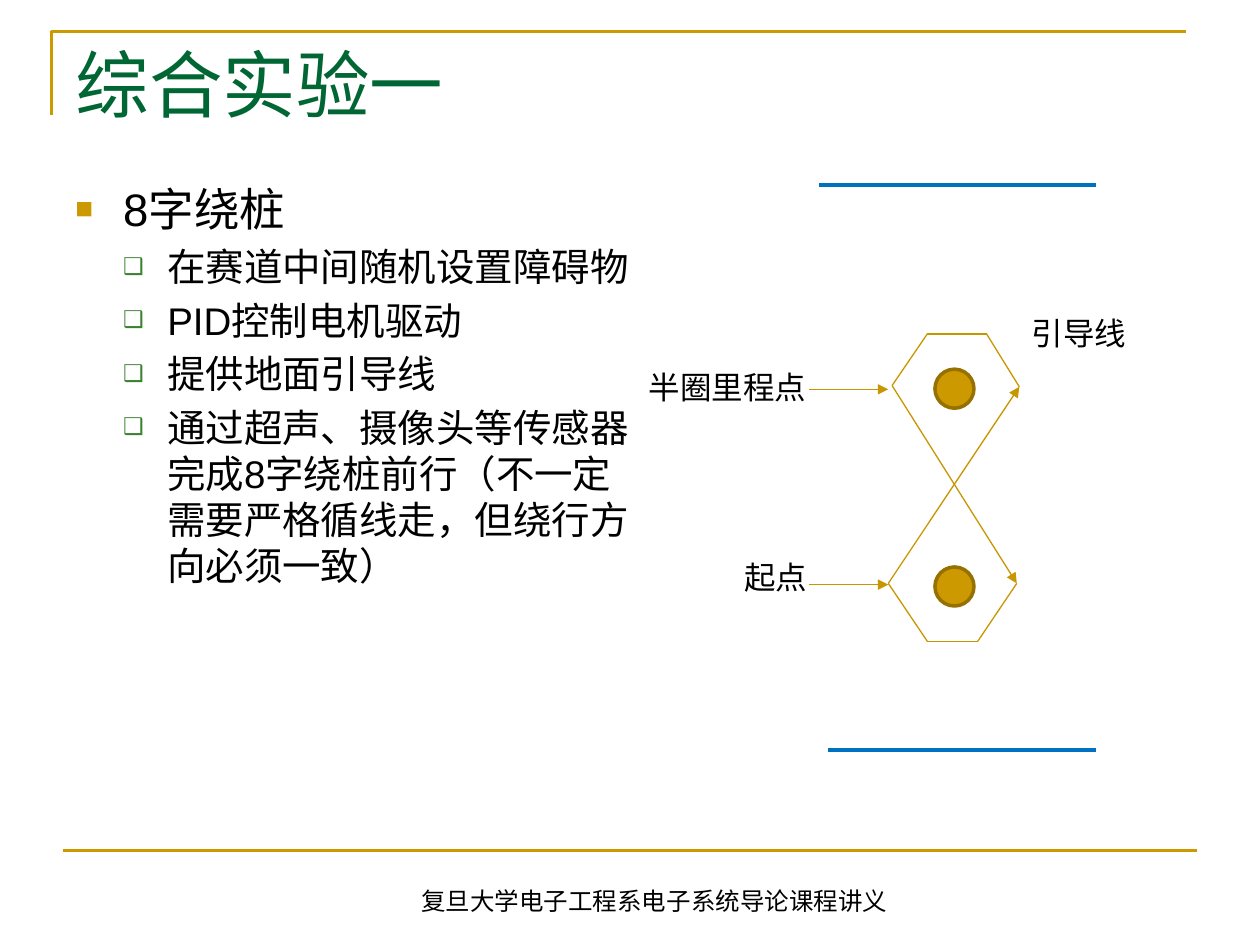
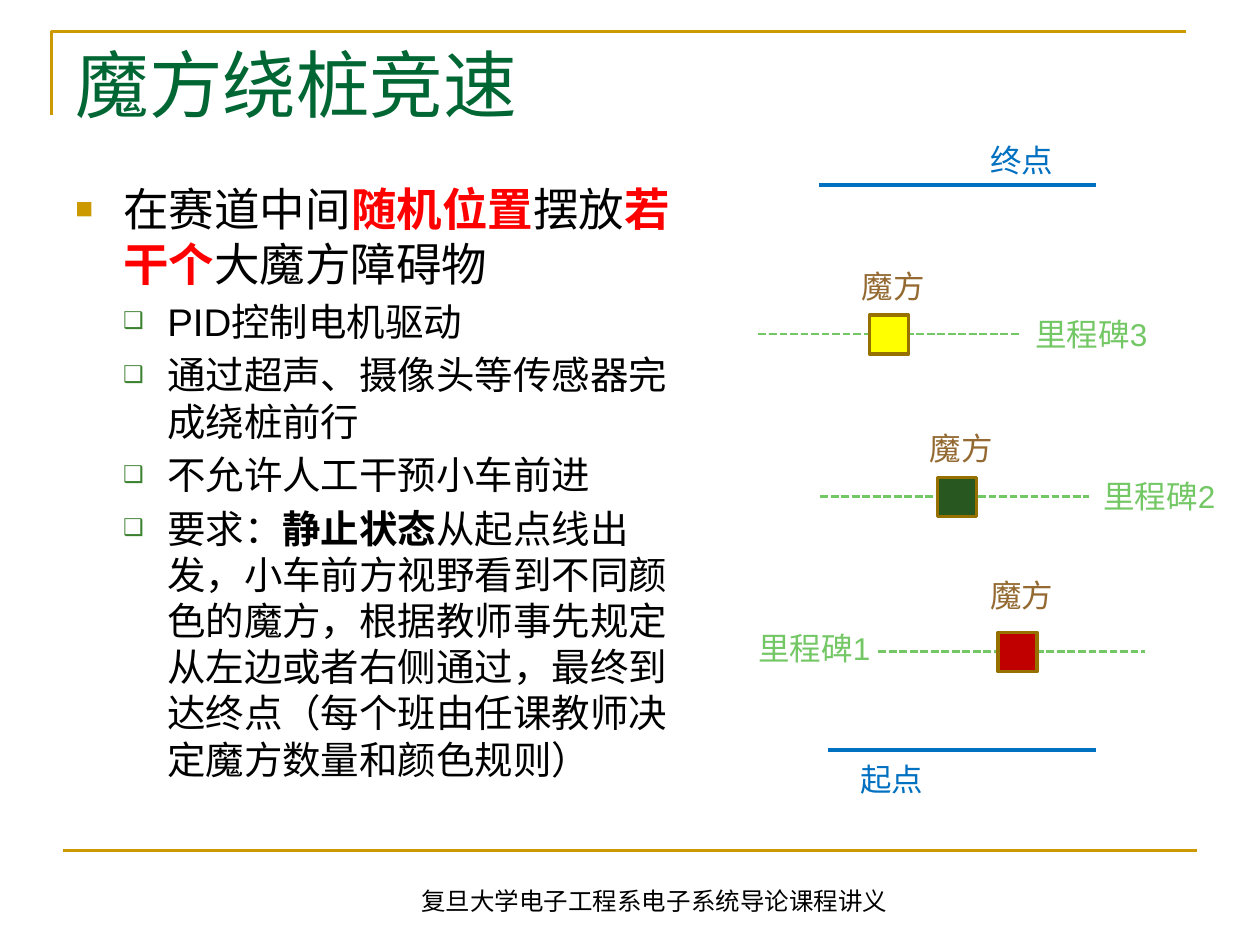
from dataclasses import dataclass
from typing import NamedTuple

from lxml.etree import SubElement
from pptx import Presentation
from pptx.dml.color import RGBColor
from pptx.enum.dml import MSO_LINE
from pptx.enum.shapes import MSO_CONNECTOR, MSO_SHAPE
from pptx.enum.text import MSO_ANCHOR, MSO_AUTO_SIZE, PP_ALIGN
from pptx.oxml.ns import qn
from pptx.util import Pt

PX = 9144
COLORS = {
    "gold": "CC9900",
    "guide": "C89600",
    "outline": "977100",
    "title": "006633",
    "text": "000000",
    "alert": "FF0000",
    "bullet": "3B812F",
    "track": "0070C0",
    "milestone": "73C764",
    "cube": "946A32",
    "yellow": "FFFF00",
    "green": "285720",
    "red": "C00000",
}
FOOTER = "复旦大学电子工程系电子系统导论课程讲义"
MARKER_SIZE = 31
LABEL_HEIGHT = 40


class Point(NamedTuple):
    x: int
    y: int


class Area(NamedTuple):
    left: int
    top: int
    width: int
    height: int


class Span(NamedTuple):
    text: str
    color: str = "text"
    bold: bool = False


class Level(NamedTuple):
    size: int
    margin: int
    hanging: int
    bullet: str
    bullet_color: str
    bullet_percent: int


@dataclass(frozen=True)
class Stroke:
    color: str
    width: float
    dashed: bool = False
    arrow: bool = False


@dataclass(frozen=True)
class Label:
    text: str
    left: int
    top: int
    width: int
    color: str = "text"


@dataclass(frozen=True)
class Milestone:
    number: int
    line_start: int
    line_end: int
    line_y: int
    cube_left: int
    cube_color: str
    cube_label_top: int
    label_left: int
    label_top: int


LEVELS = (
    Level(26, 38, 38, "■", "gold", 65),
    Level(22, 73, 35, "❑", "bullet", 60),
)
FRAME = Stroke("gold", 1.5)
TRACK = Stroke("track", 2.25)
GUIDE = Stroke("guide", 0.75)
GUIDE_ARROW = Stroke("guide", 0.75, arrow=True)
DASHES = Stroke("milestone", 1.5, dashed=True)

FIGURE_EIGHT_TEXT = (
    (0, [Span("8字绕桩")]),
    (1, [Span("在赛道中间随机设置障碍物")]),
    (1, [Span("PID控制电机驱动")]),
    (1, [Span("提供地面引导线")]),
    (1, [Span("通过超声、摄像头等传感器完成8字绕桩前行（不一定需要严格循线走，但绕行方向必须一致）")]),
)
CUBE_RACE_TEXT = (
    (0, [
        Span("在赛道中间"),
        Span("随机位置", "alert", True),
        Span("摆放"),
        Span("若干个", "alert", True),
        Span("大魔方障碍物"),
    ]),
    (1, [Span("PID控制电机驱动")]),
    (1, [Span("通过超声、摄像头等传感器完成绕桩前行")]),
    (1, [Span("不允许人工干预小车前进")]),
    (1, [
        Span("要求："),
        Span("静止状态", bold=True),
        Span("从起点线出发，小车前方视野看到不同颜色的魔方，根据教师事先规定"
             "从左边或者右侧通过，最终到达终点（每个班由任课教师决定魔方数量和颜色规则）"),
    ]),
)
FIGURE_EIGHT_LABELS = (
    Label("引导线", 809, 244, 110),
    Label("起点", 581, 438, 94),
    Label("半圈里程点", 505, 287, 180),
)
RACE_LABELS = (
    Label("起点", 673, 598, 110, "track"),
    Label("终点", 776, 107, 110, "track"),
)
MILESTONES = (
    Milestone(1, 697, 909, 517, 792, "red", 452, 592, 494),
    Milestone(2, 651, 864, 394, 744, "green", 336, 866, 374),
    Milestone(3, 602, 810, 265, 690, "yellow", 207, 812, 245),
)
UPPER_LOOP = (Point(708, 306), Point(736, 265), Point(783, 265), Point(809, 307))
LOWER_LOOP = (Point(705, 463), Point(736, 509), Point(776, 509), Point(807, 463))


def rgb(name: str) -> RGBColor:
    return RGBColor.from_string(COLORS[name])


def emu(lengths) -> list[int]:
    return [length * PX for length in lengths]


def apply_format(target, values: dict) -> None:
    for name, value in values.items():
        setattr(target, name, value)


def add_span(para, span: Span, size: int, font: str = "Arial") -> None:
    run = para.add_run()
    run.text = span.text
    apply_format(run.font, {"name": font, "size": Pt(size), "bold": span.bold})
    run.font.color.rgb = rgb(span.color)


def add_text_box(page, area: Area):
    frame = page.shapes.add_textbox(*emu(area)).text_frame
    apply_format(frame, {
        "word_wrap": True,
        "auto_size": MSO_AUTO_SIZE.NONE,
        "vertical_anchor": MSO_ANCHOR.TOP,
    })
    return frame


def add_label(page, label: Label) -> None:
    frame = add_text_box(page, Area(label.left, label.top, label.width, LABEL_HEIGHT))
    add_span(frame.paragraphs[0], Span(label.text, label.color), 18)


def add_line(page, start: Point, end: Point, stroke: Stroke) -> None:
    connector = page.shapes.add_connector(MSO_CONNECTOR.STRAIGHT, *emu(start + end))
    connector.line.color.rgb = rgb(stroke.color)
    connector.line.width = Pt(stroke.width)
    if stroke.dashed:
        connector.line.dash_style = MSO_LINE.SQUARE_DOT
    if stroke.arrow:
        SubElement(connector.line._get_or_add_ln(), qn("a:tailEnd"), type="triangle")
    SubElement(connector._element.spPr, qn("a:effectLst"))


def add_marker(page, kind: MSO_SHAPE, left: int, top: int, color: str) -> None:
    marker = page.shapes.add_shape(kind, *emu((left, top, MARKER_SIZE, MARKER_SIZE)))
    marker.shadow.inherit = False
    marker.fill.solid()
    marker.fill.fore_color.rgb = rgb(color)
    marker.line.color.rgb = rgb("outline")
    marker.line.width = Pt(2)


def add_bullet(para, level: Level) -> None:
    properties = para._p.get_or_add_pPr()
    properties.set("marL", str(level.margin * PX))
    properties.set("indent", str(-level.hanging * PX))
    properties.set("hangingPunct", "0")
    color = SubElement(properties, qn("a:buClr"))
    SubElement(color, qn("a:srgbClr"), val=COLORS[level.bullet_color])
    SubElement(properties, qn("a:buSzPct"), val=str(level.bullet_percent * 1000))
    SubElement(properties, qn("a:buFont"), typeface="Arial")
    SubElement(properties, qn("a:buChar"), char=level.bullet)


def add_outline(page, width: int, items) -> None:
    frame = add_text_box(page, Area(50, 139, width, 532))
    for index, (depth, spans) in enumerate(items):
        para = frame.add_paragraph() if index else frame.paragraphs[0]
        level = LEVELS[depth]
        para.level = depth
        if index:
            para.space_before = Pt(4.2)
        add_bullet(para, level)
        for span in spans:
            add_span(para, span, level.size)


def add_corner(page) -> None:
    builder = page.shapes.build_freeform(41, 91, scale=PX)
    builder.add_line_segments([(41, 25), (941, 25)], close=False)
    corner = builder.convert_to_shape()
    corner.shadow.inherit = False
    corner.fill.background()
    corner.line.color.rgb = rgb(FRAME.color)
    corner.line.width = Pt(FRAME.width)


def add_page(deck, title: str):
    page = deck.slides.add_slide(deck.slide_layouts[5])
    add_corner(page)
    add_line(page, Point(50, 675), Point(950, 675), FRAME)
    footer = add_text_box(page, Area(98, 698, 843, 33)).paragraphs[0]
    footer.alignment = PP_ALIGN.CENTER
    add_span(footer, Span(FOOTER), 14)

    box = page.shapes.title
    apply_format(box, dict(zip(("left", "top", "width", "height"), emu((50, 26, 900, 93)))))
    apply_format(box.text_frame, {
        "word_wrap": True,
        "auto_size": MSO_AUTO_SIZE.NONE,
        "vertical_anchor": MSO_ANCHOR.TOP,
    })
    para = box.text_frame.paragraphs[0]
    para.alignment = PP_ALIGN.LEFT
    add_span(para, Span(title, "title"), 42, "Times New Roman")
    return page


def add_track(page) -> None:
    add_line(page, Point(657, 595), Point(870, 595), TRACK)
    add_line(page, Point(650, 147), Point(870, 147), TRACK)


def build_figure_eight(deck) -> None:
    page = add_page(deck, "综合实验一")
    add_outline(page, 466, FIGURE_EIGHT_TEXT)
    add_track(page)
    add_line(page, UPPER_LOOP[0], LOWER_LOOP[-1], GUIDE_ARROW)
    add_line(page, LOWER_LOOP[0], UPPER_LOOP[-1], GUIDE_ARROW)
    for loop in (UPPER_LOOP, LOWER_LOOP):
        for start, end in zip(loop, loop[1:]):
            add_line(page, start, end, GUIDE)
    for post_top in (450, 293):
        add_marker(page, MSO_SHAPE.OVAL, 742, post_top, "gold")
    for arrow_y in (464, 309):
        add_line(page, Point(642, arrow_y), Point(705, arrow_y), GUIDE_ARROW)
    for label in FIGURE_EIGHT_LABELS:
        add_label(page, label)


def build_cube_race(deck) -> None:
    page = add_page(deck, "魔方绕桩竞速")
    add_outline(page, 494, CUBE_RACE_TEXT)
    add_track(page)
    for label in RACE_LABELS:
        add_label(page, label)
    for stone in MILESTONES:
        add_line(page, Point(stone.line_start, stone.line_y),
                 Point(stone.line_end, stone.line_y), DASHES)
        add_marker(page, MSO_SHAPE.RECTANGLE, stone.cube_left,
                   stone.line_y - MARKER_SIZE // 2, stone.cube_color)
        add_label(page, Label("魔方", stone.cube_left - 16, stone.cube_label_top, 83, "cube"))
        add_label(page, Label(f"里程碑{stone.number}", stone.label_left,
                              stone.label_top, 110, "milestone"))


def main() -> None:
    deck = Presentation()
    apply_format(deck, {"slide_width": 1000 * PX, "slide_height": 750 * PX})
    build_figure_eight(deck)
    build_cube_race(deck)
    deck.save("out.pptx")


if __name__ == "__main__":
    main()
